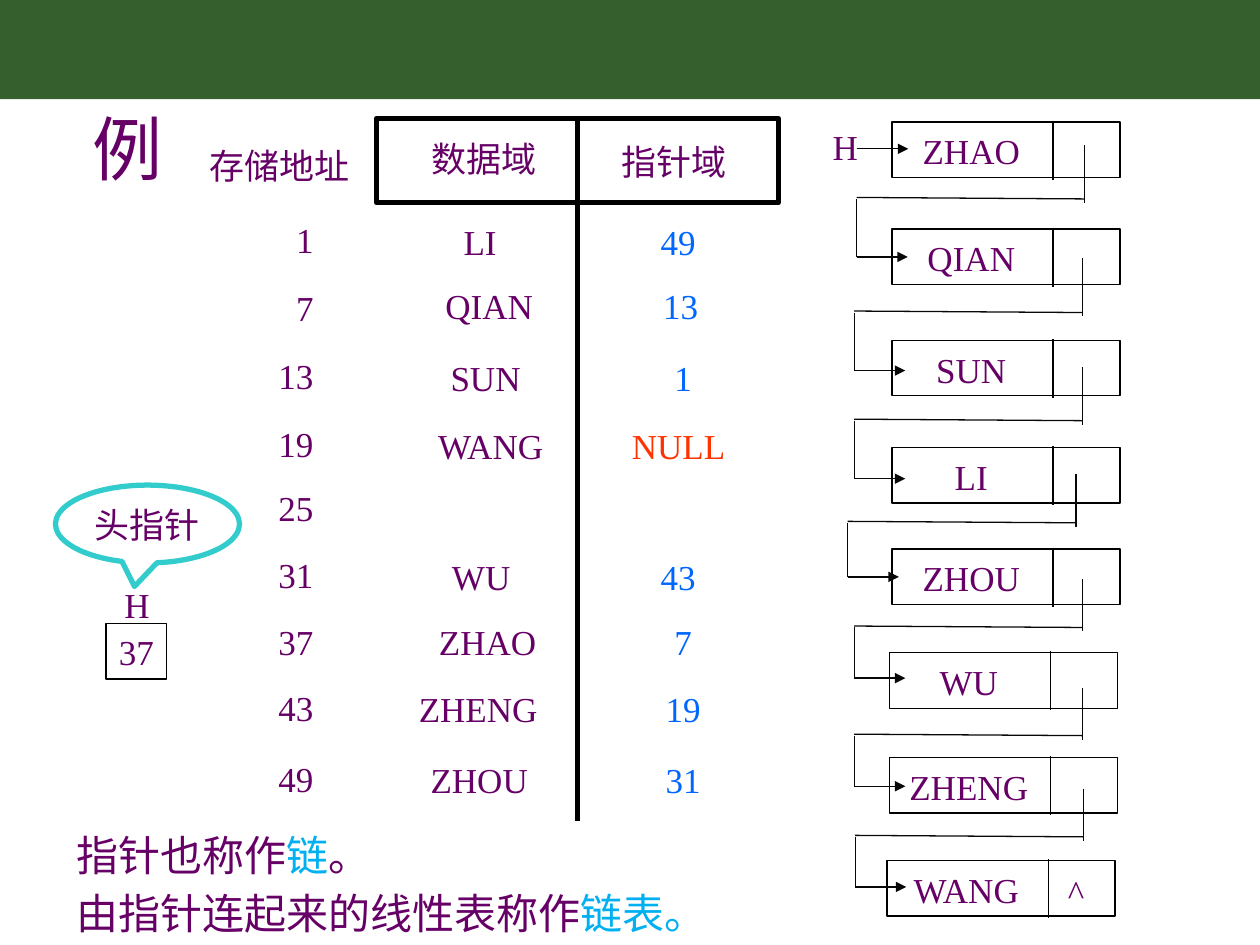
from lxml import etree
from pptx import Presentation
from pptx.dml.color import RGBColor
from pptx.enum.shapes import MSO_CONNECTOR, MSO_SHAPE
from pptx.enum.text import MSO_ANCHOR, MSO_AUTO_SIZE, PP_ALIGN
from pptx.oxml.ns import qn
from pptx.util import Cm, Pt

STRAIGHT = MSO_CONNECTOR.STRAIGHT
RECT, CALLOUT = MSO_SHAPE.RECTANGLE, MSO_SHAPE.OVAL_CALLOUT
MIDDLE, TOP = MSO_ANCHOR.MIDDLE, MSO_ANCHOR.TOP
LEFT, CENTER, RIGHT = PP_ALIGN.LEFT, PP_ALIGN.CENTER, PP_ALIGN.RIGHT
FIT = MSO_AUTO_SIZE.SHAPE_TO_FIT_TEXT

COLORS = {
    "banner": "365F2E", "text": "660066", "pointer": "0066FF", "null": "FF3300",
    "term": "00B0F0", "callout": "33CCCC", "border": "000000", "link": "080808",
}
LABEL_FRAME = {"word_wrap": False, "auto_size": FIT, "vertical_anchor": MIDDLE}
NOTE_FRAME = {"word_wrap": True, "auto_size": FIT, "vertical_anchor": TOP}
LABEL_HEIGHT = 1.12

# address, address y, entry y, data, data x, pointer, pointer x (relative to the table)
ROWS = [
    ("1", 2.44, 2.47, "LI", 2.09, "49", 6.08),
    ("7", 3.81, 3.77, "QIAN", 2.27, "13", 6.13),
    ("13", 5.18, 5.22, "SUN", 2.2, "1", 6.18),
    ("19", 6.55, 6.59, "WANG", 2.3, "NULL", 6.09),
    ("25", 7.85, None, None, None, None, None),
    ("31", 9.19, 9.23, "WU", 2.11, "43", 6.08),
    ("37", 10.54, 10.55, "ZHAO", 2.24, "7", 6.18),
    ("43", 11.88, 11.9, "ZHENG", 2.05, "19", 6.18),
    ("49", 13.31, 13.32, "ZHOU", 2.07, "31", 6.18),
]
# name, left, top (relative to the chain)
NODES = [
    ("ZHAO", 0.1, 0), ("QIAN", 0.1, 2.16), ("SUN", 0.1, 4.4), ("LI", 0.1, 6.56),
    ("ZHOU", 0.1, 8.61), ("WU", 0.05, 10.7), ("ZHENG", 0.05, 12.81),
    ("WANG", 0, 14.89),
]
# right x, start y, bend y, end y (relative to the chain)
LINKS = [
    (3.99, 0.46, 1.55, 2.72), (3.94, 2.75, 3.84, 5.01), (3.94, 4.93, 6.02, 7.19),
    (3.81, 7.09, 8.08, 9.17), (3.94, 9.22, 10.19, 11.21),
    (3.94, 11.41, 12.37, 13.39), (3.96, 13.44, 14.41, 15.42),
]


def rgb(color):
    return RGBColor.from_string(COLORS[color])


def apply(target, formats):
    for name, value in formats.items():
        setattr(target, name, value)


def write(paragraph, text, size=20, color="text"):
    run = paragraph.add_run()
    run.text = text
    apply(run.font, {"name": "Times New Roman", "size": Pt(size)})
    run.font.color.rgb = rgb(color)


def label(slide, text, x, y, color="text", size=20, align=CENTER):
    """Place one line of text centred on (x, y), or ending at x if right-aligned."""
    # Capitals get room for the widest letter, so that no name wraps
    ems = sum(1 if ord(c) > 255 else 0.5 if c.isdigit() else 0.95 for c in text)
    width = 0.51 + ems * size * 0.0353
    height = LABEL_HEIGHT * size / 20
    left = x - width if align == RIGHT else x - width / 2
    box = slide.shapes.add_textbox(Cm(left), Cm(y - height / 2), Cm(width), Cm(height))
    apply(box.text_frame, LABEL_FRAME)
    paragraph = box.text_frame.paragraphs[0]
    paragraph.alignment = align
    write(paragraph, text, size, color)


def outline(slide, preset, left, top, width, height, color="border", weight=0.75, text=None):
    shape = slide.shapes.add_shape(preset, Cm(left), Cm(top), Cm(width), Cm(height))
    shape.shadow.inherit = False
    shape.fill.background()
    shape.line.color.rgb = rgb(color)
    shape.line.width = Pt(weight)
    if text:
        apply(shape.text_frame, LABEL_FRAME)
        paragraph = shape.text_frame.paragraphs[0]
        paragraph.alignment = CENTER
        write(paragraph, text)
    return shape


def line(slide, x1, y1, x2, y2, color="border", weight=0.75, arrow=False):
    connector = slide.shapes.add_connector(STRAIGHT, Cm(x1), Cm(y1), Cm(x2), Cm(y2))
    connector.line.color.rgb = rgb(color)
    connector.line.width = Pt(weight)
    if arrow:
        etree.SubElement(connector.line._get_or_add_ln(), qn("a:tailEnd"), type="triangle")
    etree.SubElement(connector._element.spPr, qn("a:effectLst"))
    return connector


def add_banner(slide, left, top, width, height):
    banner = outline(slide, RECT, left, top, width, height)
    banner.fill.solid()
    banner.fill.fore_color.rgb = rgb("banner")
    banner.line.fill.background()


def add_storage_table(slide, left, top, width, height):
    header = outline(slide, RECT, left, top, width, 1.7, weight=3)
    middle = left + width / 2
    divider = line(slide, middle, top, middle, top + height, weight=3)
    divider.begin_connect(header, 0)
    label(slide, "存储地址", left - 1.95, top + 0.94)
    label(slide, "数据域", left + 2.16, top + 0.81)
    label(slide, "指针域", left + 6, top + 0.86)
    for address, address_y, entry_y, data, data_x, pointer, pointer_x in ROWS:
        label(slide, address, left - 1.02, top + address_y, align=RIGHT)
        if data:
            label(slide, data, left + data_x, top + entry_y)
            color = "null" if pointer == "NULL" else "pointer"
            label(slide, pointer, left + pointer_x, top + entry_y, color)


def add_head_pointer(slide, left, top):
    outline(slide, RECT, left + 1.02, top + 2.79, 1.22, LABEL_HEIGHT, text="37")
    label(slide, "H", left + 1.64, top + 2.41)
    callout = outline(slide, CALLOUT, left, top, 3.71, 1.57, "callout", 3, "头指针")
    callout.adjustments[0] = -0.071
    callout.adjustments[1] = 0.802


def add_link(slide, right, start, bend, end):
    left = right - 4.6
    line(slide, right, start, right, bend + 0.08, "link")
    line(slide, right, bend, left, bend - 0.03, "link")
    line(slide, left, bend, left, end, "link")
    line(slide, left, end, left + 1.03, end, "link", arrow=True)


def add_chain(slide, left, top):
    # Nodes
    for name, x, y in NODES:
        node_left, node_top = left + x, top + y
        outline(slide, RECT, node_left, node_top, 4.6, LABEL_HEIGHT)
        divider_x = node_left + 3.25
        line(slide, divider_x, node_top - 0.03, divider_x, node_top + 1.16)
        label(slide, name, node_left + 1.6, node_top + 0.58)
    label(slide, "^", left + 3.81, top + 15.52)
    # Head and links
    label(slide, "H", left - 0.84, top + 0.49)
    line(slide, left - 0.61, top + 0.54, left + 0.43, top + 0.54, arrow=True)
    for right, *heights in LINKS:
        add_link(slide, left + right, *(top + y for y in heights))


def add_definitions(slide, left, top, width, height):
    box = slide.shapes.add_textbox(Cm(left), Cm(top), Cm(width), Cm(height))
    frame = box.text_frame
    apply(frame, NOTE_FRAME)
    first, second = frame.paragraphs[0], frame.add_paragraph()
    second.space_before = Pt(4.8)
    for paragraph, text, color in [
        (first, "指针也称作", "text"), (first, "链", "term"), (first, "。", "text"),
        (second, "由指针连起来的线性表称作", "text"), (second, "链表。", "term"),
    ]:
        paragraph.alignment = LEFT
        write(paragraph, text, 24, color)


def main():
    deck = Presentation()
    deck.slide_width, deck.slide_height = Cm(25.4), Cm(19.05)
    slide = deck.slides.add_slide(deck.slide_layouts[6])
    add_banner(slide, 0, 0, 25.4, 2)
    label(slide, "例", 2.57, 2.98, size=40)
    add_storage_table(slide, 7.59, 2.39, 8.1, 14.17)
    add_head_pointer(slide, 1.12, 9.78)
    add_chain(slide, 17.88, 2.46)
    add_definitions(slide, 1.3, 16.59, 13.67, 2.51)
    deck.save("out.pptx")


if __name__ == "__main__":
    main()
